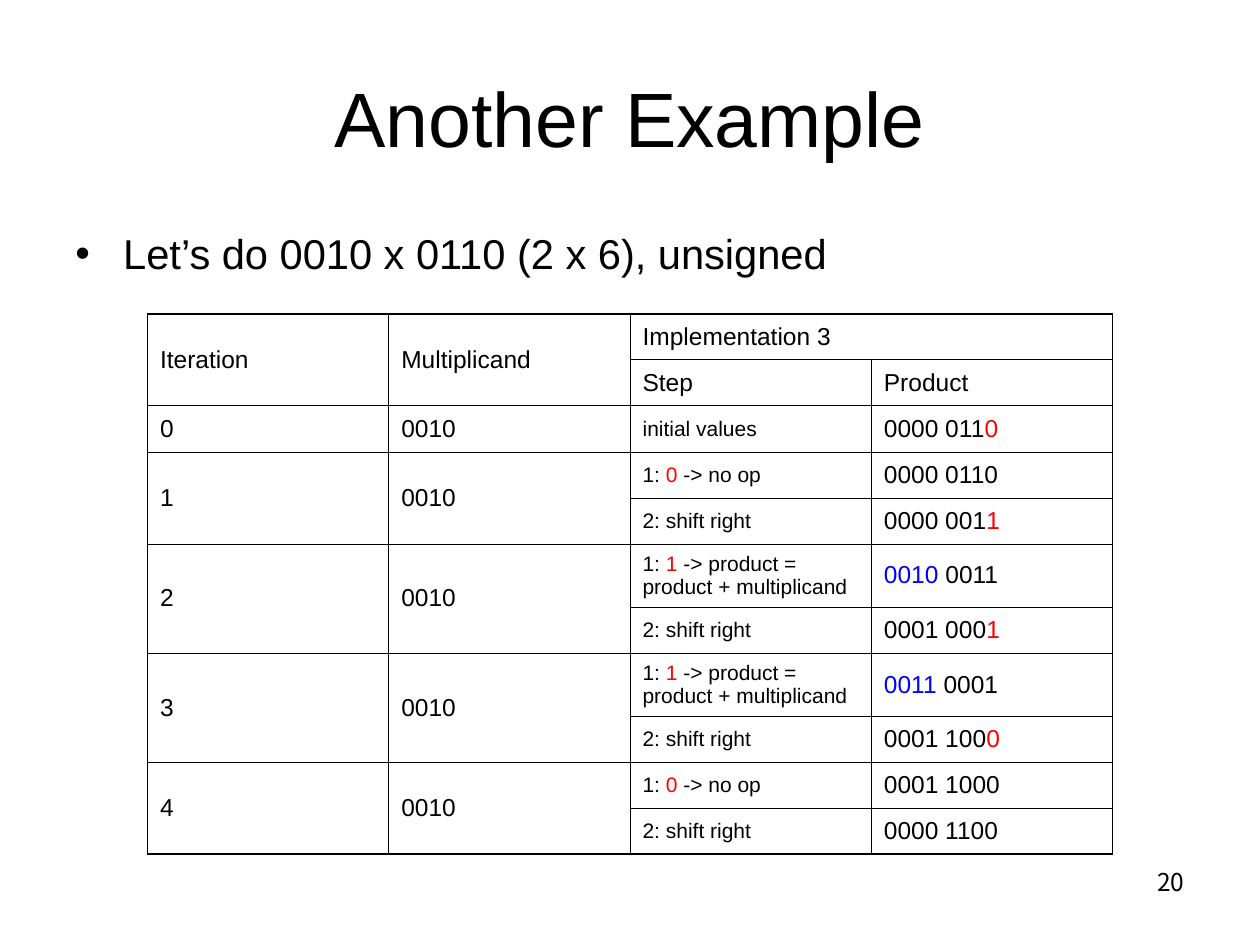
from lxml import etree
from pptx import Presentation
from pptx.dml.color import RGBColor
from pptx.enum.text import MSO_ANCHOR, PP_ALIGN
from pptx.oxml.ns import qn
from pptx.util import Inches, Pt

LEFT, CENTER, RIGHT = PP_ALIGN.LEFT, PP_ALIGN.CENTER, PP_ALIGN.RIGHT
TOP, MIDDLE = MSO_ANCHOR.TOP, MSO_ANCHOR.MIDDLE
BLACK, RED, BLUE = "000000", "FF0000", "0000FF"
FONT, NUMBER_FONT = "Arial", "Noto Sans CJK KR"

TITLE = "Another Example"
BULLET = "Let’s do 0010 x 0110 (2 x 6), unsigned"
PAGE_NUMBER = "20"

HEADINGS = ("Iteration", "Multiplicand")
GROUP_HEADING = "Implementation 3"
SUBHEADINGS = ("Step", "Product")
MULTIPLICAND = "0010"
INITIAL = [("initial values", BLACK)]
NO_OP = [("1: ", BLACK), ("0", RED), (" -> no op", BLACK)]
ADD = [("1: ", BLACK), ("1", RED), (" -> product = product + multiplicand", BLACK)]
SHIFT = [("2: shift right", BLACK)]
ITERATIONS = [
    [(INITIAL, [("0000 011", BLACK), ("0", RED)])],
    [(NO_OP, [("0000 0110", BLACK)]), (SHIFT, [("0000 001", BLACK), ("1", RED)])],
    [(ADD, [("0010", BLUE), (" 0011", BLACK)]), (SHIFT, [("0001 000", BLACK), ("1", RED)])],
    [(ADD, [("0011", BLUE), (" 0001", BLACK)]), (SHIFT, [("0001 100", BLACK), ("0", RED)])],
    [(NO_OP, [("0001 1000", BLACK)]), (SHIFT, [("0000 1100", BLACK)])],
]

TABLE_LEFT, TABLE_TOP, TABLE_WIDTH, TABLE_HEIGHT = 1.17, 2.49, 7.66, 4.29
COLUMNS, HEADER_ROWS, TALL_ROW = 4, 2, 0.5
OUTER_LINE, INNER_LINE = 1.08, 0.45


def color(value):
    """Turn a hex string into a colour."""
    return RGBColor.from_string(value)


def write(paragraph, runs, size, font=FONT):
    """Add coloured runs of one size to a paragraph."""
    for text, shade in runs:
        span = paragraph.add_run()
        span.text = text
        span.font.size = Pt(size)
        span.font.name = font
        span.font.color.rgb = color(shade)


def add_text(page, bounds, text, size, align=LEFT, anchor=TOP, font=FONT):
    """Add a one-paragraph text box and return its paragraph."""
    box = page.shapes.add_textbox(*(Inches(length) for length in bounds))
    frame = box.text_frame
    frame.word_wrap = True
    frame.vertical_anchor = anchor
    paragraph = frame.paragraphs[0]
    paragraph.alignment = align
    write(paragraph, [(text, BLACK)], size, font)
    return paragraph


def add_bullet(paragraph, indent):
    """Give a paragraph a round bullet with a hanging indent."""
    properties = paragraph._p.get_or_add_pPr()
    properties.set("marL", str(Inches(indent)))
    properties.set("indent", str(-Inches(indent)))
    shade = etree.SubElement(properties, qn("a:buClr"))
    etree.SubElement(shade, qn("a:srgbClr"), val=BLACK)
    etree.SubElement(properties, qn("a:buFont"), typeface=FONT)
    etree.SubElement(properties, qn("a:buChar"), char="•")


def add_borders(cell, widths):
    """Draw the four cell borders at the given point widths."""
    properties = cell._tc.get_or_add_tcPr()
    for side, width in widths.items():
        line = etree.SubElement(properties, qn(f"a:ln{side}"), w=str(Pt(width)))
        fill = etree.SubElement(line, qn("a:solidFill"))
        etree.SubElement(fill, qn("a:srgbClr"), val=BLACK)


def merge_cells(table):
    """Join the headings and the cells of each two-step iteration."""
    table.cell(0, 2).merge(table.cell(0, 3))
    for column in range(2):
        table.cell(0, column).merge(table.cell(1, column))
        row = HEADER_ROWS
        for steps in ITERATIONS:
            if len(steps) > 1:
                table.cell(row, column).merge(table.cell(row + len(steps) - 1, column))
            row += len(steps)


def fill_cells(table):
    """Write the headings and the multiplication steps."""
    entries = [(0, column, [(text, BLACK)], 14) for column, text in enumerate(HEADINGS)]
    entries.append((0, 2, [(GROUP_HEADING, BLACK)], 14))
    entries += [(1, column, [(text, BLACK)], 14) for column, text in enumerate(SUBHEADINGS, 2)]
    row = HEADER_ROWS
    for iteration, steps in enumerate(ITERATIONS):
        entries.append((row, 0, [(str(iteration), BLACK)], 14))
        entries.append((row, 1, [(MULTIPLICAND, BLACK)], 14))
        for step, product in steps:
            entries += [(row, 2, step, 12), (row, 3, product, 14)]
            row += 1
    for row, column, runs, size in entries:
        write(table.cell(row, column).text_frame.paragraphs[0], runs, size)


def style_cells(table, row_count):
    """Set anchors, borders and empty fills on every cell."""
    for row in range(row_count):
        for column in range(COLUMNS):
            cell = table.cell(row, column)
            height = cell.span_height if cell.is_merge_origin else 1
            width = cell.span_width if cell.is_merge_origin else 1
            outer = {
                "L": column == 0,
                "R": column + width == COLUMNS,
                "T": row == 0,
                "B": row + height == row_count,
            }
            cell.vertical_anchor = MIDDLE
            add_borders(cell, {side: OUTER_LINE if edge else INNER_LINE for side, edge in outer.items()})
            cell.fill.background()


def add_steps_table(page):
    """Build the table of multiplication steps."""
    steps = [step for iteration in ITERATIONS for step, product in iteration]
    row_count = HEADER_ROWS + len(steps)
    tall_count = steps.count(ADD)
    short_row = (TABLE_HEIGHT - tall_count * TALL_ROW) / (row_count - tall_count)
    bounds = (TABLE_LEFT, TABLE_TOP, TABLE_WIDTH, TABLE_HEIGHT)
    table = page.shapes.add_table(row_count, COLUMNS, *(Inches(length) for length in bounds)).table
    table.first_row = False
    table.horz_banding = False
    for column in table.columns:
        column.width = Inches(TABLE_WIDTH / COLUMNS)
    for row, step in zip(table.rows, [None] * HEADER_ROWS + steps):
        row.height = Inches(TALL_ROW if step == ADD else short_row)
    merge_cells(table)
    fill_cells(table)
    style_cells(table, row_count)


def main():
    """Build the slide and save the deck."""
    deck = Presentation()
    deck.slide_width, deck.slide_height = Inches(10), Inches(7.5)
    page = deck.slides.add_slide(deck.slide_layouts[6])
    add_text(page, (7.17, 6.83, 2.33, 0.52), PAGE_NUMBER, 14, RIGHT, font=NUMBER_FONT)
    add_text(page, (0.5, 0.3, 9, 1.25), TITLE, 44, CENTER, MIDDLE)
    add_bullet(add_text(page, (0.5, 1.75, 9, 0.52), BULLET, 23.8, anchor=MIDDLE), 0.38)
    add_steps_table(page)
    deck.save("out.pptx")


if __name__ == "__main__":
    main()
